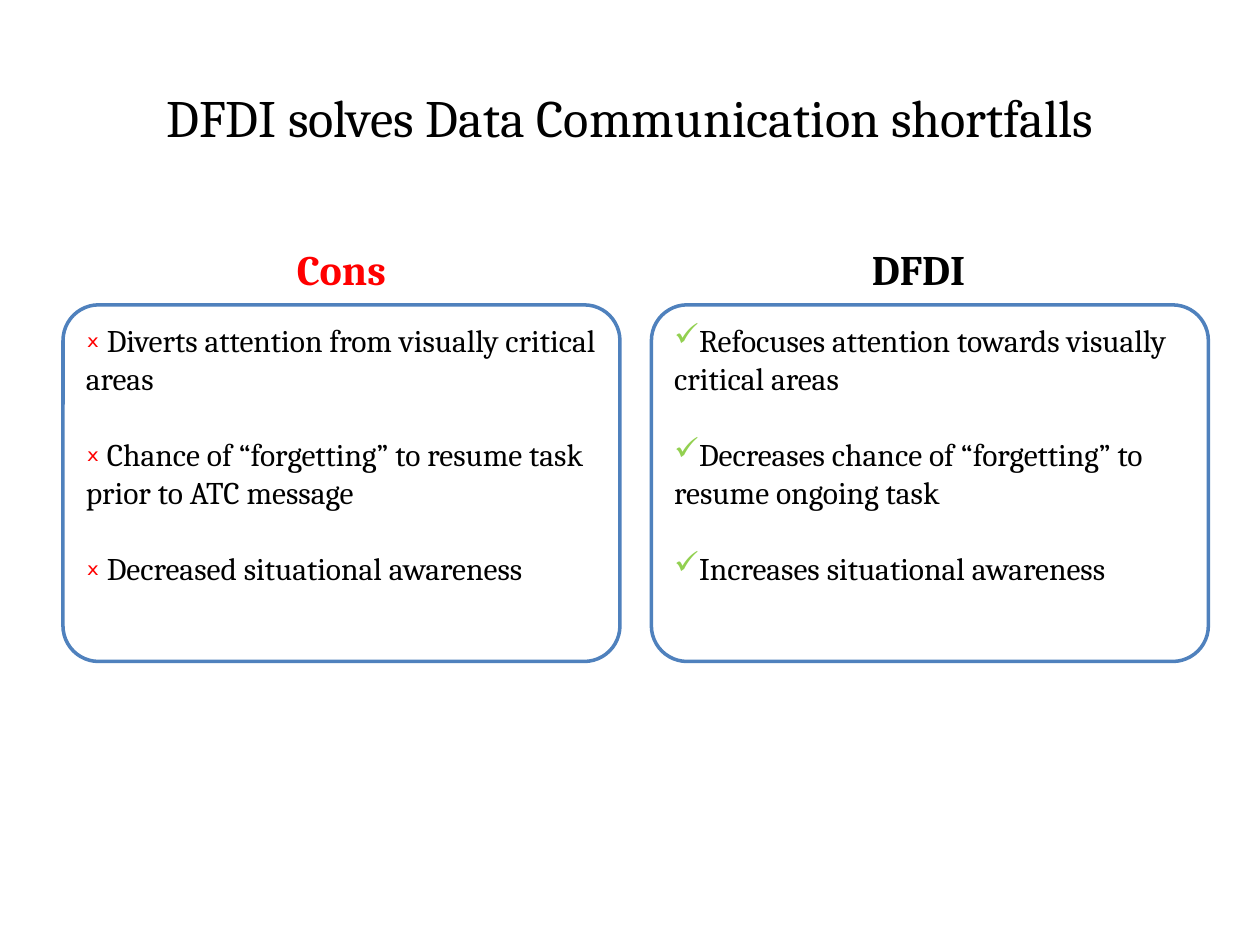
from dataclasses import dataclass

from lxml.etree import SubElement
from pptx import Presentation
from pptx.dml.color import RGBColor
from pptx.enum.shapes import MSO_SHAPE
from pptx.enum.text import MSO_ANCHOR, MSO_AUTO_SIZE, PP_ALIGN
from pptx.oxml.ns import qn
from pptx.util import Inches, Pt


@dataclass(frozen=True)
class Theme:
    font: str = "Cambria"
    text: str = "000000"
    warning: str = "FF0000"
    check: str = "92D050"
    border: str = "4F81BD"
    panel: str = "FFFFFF"
    title_size: int = 30
    heading_size: int = 24
    list_size: int = 18
    list_gap: float = 21.7


@dataclass(frozen=True)
class Column:
    heading: str
    heading_color: str
    heading_left: float
    panel_left: float
    bullet: str
    bullet_color: str
    points: tuple[str, ...]


THEME = Theme()
MARGIN = 0.5
COLUMN_WIDTH = 4.42
HEADING_TOP, HEADING_HEIGHT = 1.68, 0.7
PANEL_TOP, PANEL_HEIGHT = 2.42, 2.83
COLUMNS = (
    Column("Cons", THEME.warning, MARGIN, MARGIN, "ₓ", THEME.warning, (
        " Diverts attention from visually critical areas",
        " Chance of “forgetting” to resume task prior to ATC message",
        " Decreased situational awareness",
    )),
    Column("DFDI", THEME.text, 10 - MARGIN - COLUMN_WIDTH, 5.17, "✓", THEME.check, (
        "Refocuses attention towards visually critical areas",
        "Decreases chance of “forgetting” to resume ongoing task",
        "Increases situational awareness",
    )),
)


def style(para, size: float, color: str, bold: bool = False) -> None:
    font = para.font
    font.name, font.size, font.bold = THEME.font, Pt(size), bold
    font.color.rgb = RGBColor.from_string(color)


def add_bullet(para, symbol: str, color: str) -> None:
    properties = para._p.get_or_add_pPr()
    properties.set("marL", "0")
    properties.set("indent", "0")
    bullet_color = SubElement(properties, qn("a:buClr"))
    SubElement(bullet_color, qn("a:srgbClr"), val=color)
    SubElement(properties, qn("a:buChar"), char=symbol)


def fill_placeholder(box, text: str, place: tuple[float, ...], size: float,
                     color: str, anchor: MSO_ANCHOR, bold: bool = False) -> None:
    box.left, box.top, box.width, box.height = map(Inches, place)
    frame = box.text_frame
    frame.text = text
    frame.auto_size = MSO_AUTO_SIZE.NONE
    frame.vertical_anchor = anchor
    para = frame.paragraphs[0]
    para.alignment = PP_ALIGN.CENTER
    style(para, size, color, bold)


def draw_panel(page, column: Column) -> None:
    panel = page.shapes.add_shape(
        MSO_SHAPE.ROUNDED_RECTANGLE, Inches(column.panel_left), Inches(PANEL_TOP),
        Inches(COLUMN_WIDTH), Inches(PANEL_HEIGHT))
    panel.adjustments[0] = 0.1
    panel.shadow.inherit = False
    panel.fill.solid()
    panel.fill.fore_color.rgb = RGBColor.from_string(THEME.panel)
    panel.line.color.rgb = RGBColor.from_string(THEME.border)
    panel.line.width = Pt(2)

    frame = panel.text_frame
    frame.word_wrap = True
    frame.vertical_anchor = MSO_ANCHOR.TOP
    for index, point in enumerate(column.points):
        para = frame.add_paragraph() if index else frame.paragraphs[0]
        para.text = point
        para.alignment = PP_ALIGN.LEFT
        add_bullet(para, column.bullet, column.bullet_color)
        if index:
            para.space_before = Pt(THEME.list_gap)
        style(para, THEME.list_size, THEME.text)


def main() -> None:
    deck = Presentation()
    deck.slide_width, deck.slide_height = Inches(10), Inches(7.5)
    comparison = deck.slide_layouts.get_by_name("Comparison")
    page = deck.slides.add_slide(comparison)
    title, *bodies = page.placeholders
    headings, lists = bodies[::2], bodies[1::2]

    fill_placeholder(title, "DFDI solves Data Communication shortfalls",
                     (MARGIN, 0.3, 10 - 2 * MARGIN, 1.25),
                     THEME.title_size, THEME.text, MSO_ANCHOR.MIDDLE)
    for column, heading, unused in zip(COLUMNS, headings, lists):
        fill_placeholder(heading, column.heading,
                         (column.heading_left, HEADING_TOP, COLUMN_WIDTH, HEADING_HEIGHT),
                         THEME.heading_size, column.heading_color,
                         MSO_ANCHOR.BOTTOM, bold=True)
        unused.element.getparent().remove(unused.element)
        draw_panel(page, column)

    deck.save("out.pptx")


if __name__ == "__main__":
    main()
